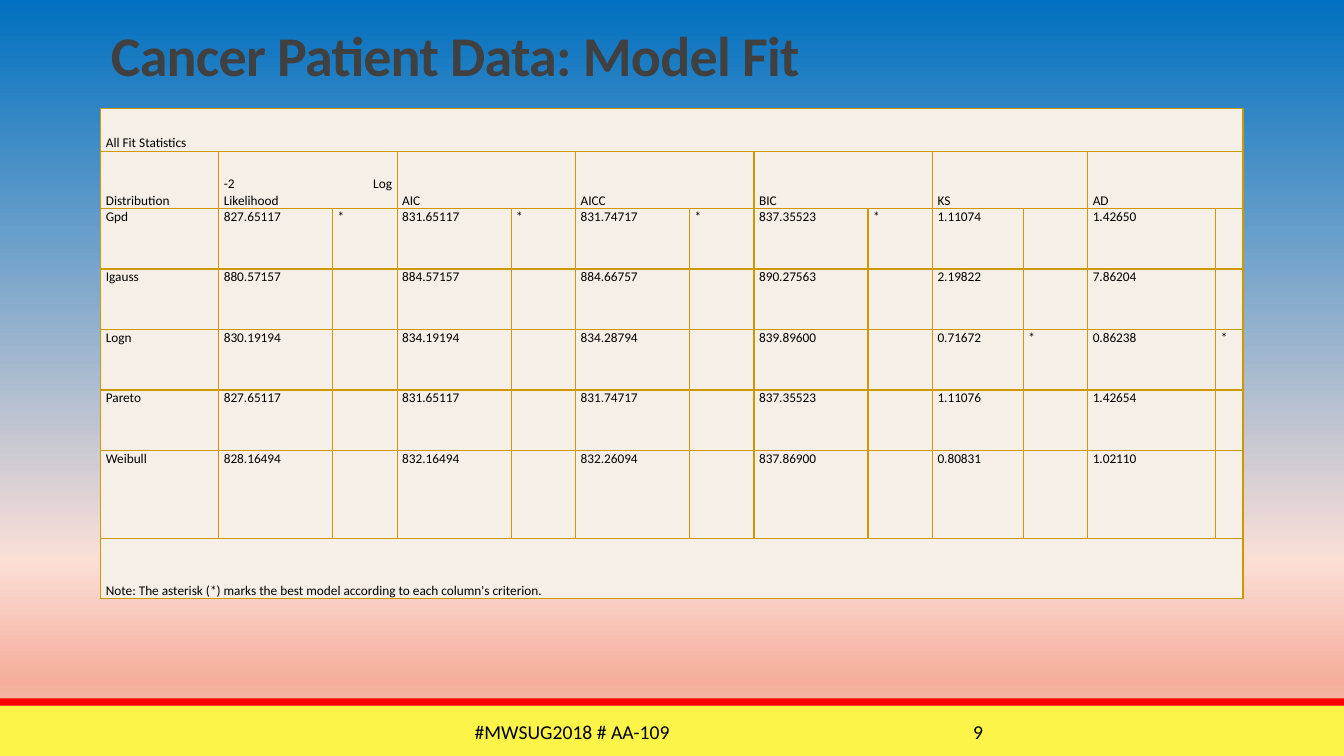
from lxml import etree
from pptx import Presentation
from pptx.dml.color import RGBColor
from pptx.enum.shapes import MSO_SHAPE
from pptx.enum.text import MSO_ANCHOR, MSO_AUTO_SIZE, PP_ALIGN
from pptx.oxml import parse_xml
from pptx.util import Inches, Pt

BLUE = RGBColor(0x00, 0x70, 0xC0)
PINK = RGBColor(0xFB, 0xDF, 0xD7)
CORAL = RGBColor(0xF5, 0xAE, 0x9C)
ROSE = RGBColor(0xF8, 0xC9, 0xBD)
YELLOW = RGBColor(0xFD, 0xF4, 0x49)
RED = RGBColor(0xFF, 0x00, 0x00)
GOLD = RGBColor(0xCC, 0x99, 0x00)
CREAM = RGBColor(0xF6, 0xEF, 0xE7)
GREY = RGBColor(0x40, 0x40, 0x40)
BLACK = RGBColor(0x00, 0x00, 0x00)
RECT = MSO_SHAPE.RECTANGLE
TOP, MIDDLE, BOTTOM = MSO_ANCHOR.TOP, MSO_ANCHOR.MIDDLE, MSO_ANCHOR.BOTTOM
CENTER, RIGHT, JUSTIFY = PP_ALIGN.CENTER, PP_ALIGN.RIGHT, PP_ALIGN.JUSTIFY
NO_FIT = MSO_AUTO_SIZE.NONE
NS = "http://schemas.openxmlformats.org/drawingml/2006/main"

WIDE, HIGH = 13.33, 7.5
FONT = "Calibri"
STOPS = [(0, BLUE), (74, PINK), (90, CORAL), (100, ROSE)]
COLS = [1.17] + [1.13, 0.64] * 4 + [0.9, 0.64, 1.27, 0.27]
ROWS = [0.42, 0.57] + [0.6] * 4 + [0.87, 0.6]
TITLE = "All Fit Statistics"
NOTE = "Note: The asterisk (*) marks the best model according to each column's criterion."
HEADS = ["-2 Log\vLikelihood", "AIC", "AICC", "BIC", "KS", "AD"]
FITS = [
    ("Gpd", "827.65117* 831.65117* 831.74717* 837.35523* 1.11074 1.42650"),
    ("Igauss", "880.57157 884.57157 884.66757 890.27563 2.19822 7.86204"),
    ("Logn", "830.19194 834.19194 834.28794 839.89600 0.71672* 0.86238*"),
    ("Pareto", "827.65117 831.65117 831.74717 837.35523 1.11076 1.42654"),
    ("Weibull", "828.16494 832.16494 832.26094 837.86900 0.80831 1.02110"),
]


def place(left, top, width, height):
    """Turn inches into a box of lengths."""
    return [Inches(n) for n in (left, top, width, height)]


def style(para, size, color, align=None):
    """Set the font and alignment of a paragraph."""
    para.font.name = FONT
    para.font.size = Pt(size)
    para.font.color.rgb = color
    para.alignment = align


def paint(slide):
    """Fill the background with the vertical gradient."""
    fill = slide.background.fill
    fill.gradient()
    fill.gradient_angle = 270
    stops = slide.background._cSld.find(f".//{{{NS}}}gsLst")
    for old in list(stops):
        stops.remove(old)
    for share, color in STOPS:
        stops.append(parse_xml(
            f'<a:gs xmlns:a="{NS}" pos="{share * 1000}">'
            f'<a:srgbClr val="{color}"/></a:gs>'))


def add_band(slide, top, height, color):
    """Draw a full-width band."""
    band = slide.shapes.add_shape(RECT, *place(0, top, WIDE, height))
    band.shadow.inherit = False
    band.fill.solid()
    band.fill.fore_color.rgb = color
    band.line.fill.background()


def add_label(slide, text, left, width, align):
    """Write a label in the footer band."""
    frame = slide.shapes.add_textbox(*place(left, 7.06, width, 0.4)).text_frame
    frame.word_wrap = True
    frame.vertical_anchor = MIDDLE
    frame.text = text
    style(frame.paragraphs[0], 14, BLACK, align)


def set_title(slide, text):
    """Place and format the title."""
    title = slide.shapes.title
    title.left, title.top, title.width, title.height = place(1, 0.17, 11, 0.75)
    frame = title.text_frame
    frame.text = text
    frame.auto_size = NO_FIT
    frame.vertical_anchor = BOTTOM
    para = frame.paragraphs[0]
    style(para, 40, GREY, PP_ALIGN.LEFT)
    para.font.bold = True
    para.line_spacing = 0.85
    para.runs[0]._r.get_or_add_rPr().set("spc", "-50")


def add_edges(cell):
    """Draw the four borders of a cell."""
    props = cell._tc.get_or_add_tcPr()
    for side in "LRTB":
        line = etree.SubElement(props, f"{{{NS}}}ln{side}", w=str(Pt(1)))
        solid = etree.SubElement(line, f"{{{NS}}}solidFill")
        etree.SubElement(solid, f"{{{NS}}}srgbClr", val=str(GOLD))


def set_cell(cell, text, anchor):
    """Fill, border and write one cell."""
    add_edges(cell)
    cell.fill.solid()
    cell.fill.fore_color.rgb = CREAM
    cell.margin_left = cell.margin_right = Inches(0.05)
    cell.margin_top = cell.margin_bottom = 0
    cell.vertical_anchor = anchor
    cell.text = text
    para = cell.text_frame.paragraphs[0]
    style(para, 9.5, BLACK, JUSTIFY)
    para.space_before = para.space_after = Pt(3.4)


def fit_rows():
    """List the text of every row, a value and a mark for each criterion."""
    blank = [""] * (len(COLS) - 1)
    heads = ["Distribution"]
    for head in HEADS:
        heads += [head, ""]
    rows = [[TITLE] + blank, heads]
    for name, values in FITS:
        row = [name]
        for value in values.split():
            row += [value.rstrip("*"), "*" if value.endswith("*") else ""]
        rows.append(row)
    return rows + [[NOTE] + blank]


def add_fits(slide):
    """Build the table of fit statistics."""
    box = place(1, 1.08, sum(COLS), sum(ROWS))
    table = slide.shapes.add_table(len(ROWS), len(COLS), *box).table
    table.first_row = table.horz_banding = False
    for col, width in zip(table.columns, COLS):
        col.width = Inches(width)
    for row, height in zip(table.rows, ROWS):
        row.height = Inches(height)
    last = len(ROWS) - 1
    for r, texts in enumerate(fit_rows()):
        anchor = BOTTOM if r in (0, 1, last) else TOP
        for c, text in enumerate(texts):
            set_cell(table.cell(r, c), text, anchor)
    for r in (0, last):
        table.cell(r, 0).merge(table.cell(r, len(COLS) - 1))
    for c in range(1, len(COLS), 2):
        table.cell(1, c).merge(table.cell(1, c + 1))


def main():
    """Build and save the slide."""
    deck = Presentation()
    deck.slide_width, deck.slide_height = Inches(WIDE), Inches(HIGH)
    slide = deck.slides.add_slide(deck.slide_layouts[5])
    paint(slide)
    add_band(slide, 7, 0.5, YELLOW)
    add_band(slide, 6.93, 0.07, RED)
    set_title(slide, "Cancer Patient Data: Model Fit")
    add_fits(slide)
    add_label(slide, "#MWSUG2018 # AA-109", 3.04, 5.27, CENTER)
    add_label(slide, "9", 8.42, 1.43, RIGHT)
    deck.save("out.pptx")


if __name__ == "__main__":
    main()
